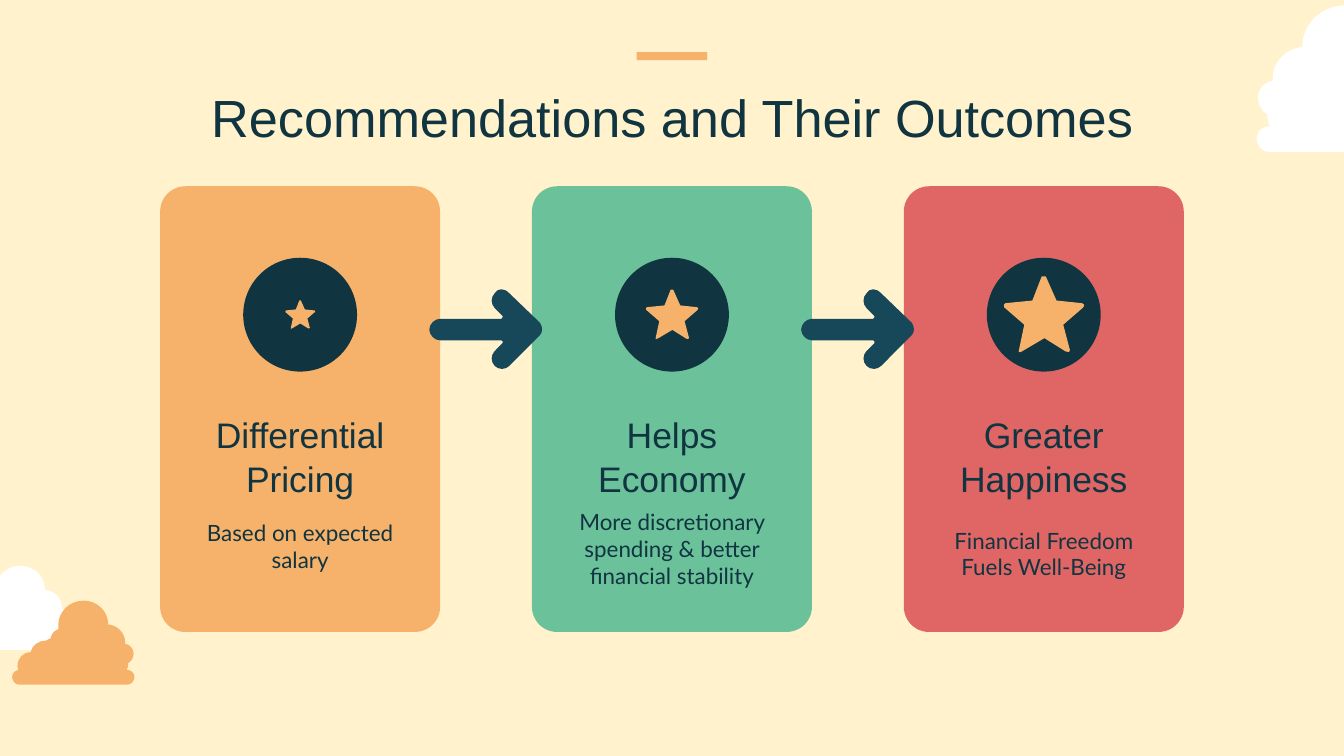
from dataclasses import dataclass
from lxml import etree
from pptx import Presentation
from pptx import util as u
from pptx.dml.color import RGBColor
from pptx.enum import shapes, text
from pptx.oxml import ns


@dataclass(frozen=True)
class Theme:
    cream: str = "FFF2CC"
    white: str = "FFFFFF"
    orange: str = "F6B26B"
    green: str = "6BC29A"
    red: str = "E06666"
    navy: str = "103440"
    teal: str = "174859"
    heading_font: str = "Arial"
    body_font: str = "Lato"
    title_size: float = 28
    card_size: float = 19
    body_size: float = 12


theme = Theme()
TITLE = "Recommendations and Their Outcomes"
CARDS = [
    {"heading": "Differential Pricing", "detail": "Based on expected salary",
     "color": theme.orange, "star": 16.4, "detail_top": 270.7},
    {"heading": "Helps Economy", "detail": "More discretionary spending & better financial stability",
     "color": theme.green, "star": 28.6, "detail_top": 265},
    {"heading": "Greater Happiness", "detail": "Financial Freedom Fuels Well-Being",
     "color": theme.red, "star": 43.9, "detail_top": 275},
]
CLOUDS = [
    ((-27.4, 303.1, 65.5, 45), theme.white, True),
    ((673.2, 2.9, 114.5, 78.5), theme.white, False),
    ((6.5, 321.8, 65.5, 45), theme.orange, True),
]

CLOUD = (159, 109, [
    (66, 0), (84, 0, 99, 14, 99, 32), (99, 37), (104, 39, 108, 43, 109, 49),
    (115, 52), (125, 52, 133, 58, 135, 67), (145, 67, 152, 75, 152, 85),
    (151, 90), (156, 91, 159, 95, 159, 99), (159, 104, 155, 109, 150, 109),
    (9, 109), (4, 109, 0, 104, 0, 99), (0, 94, 4, 90, 9, 90), (10, 90),
    (8, 87, 8, 84, 8, 81), (4, 79, 1, 74, 1, 69), (1, 62, 6, 57, 12, 56),
    (12, 54), (12, 42, 22, 32, 34, 31), (34, 13, 49, 0, 66, 0)])
STAR = (61, 57, [
    (32, 0), (31, 0, 30, 0, 29, 0), (22, 18), (2, 20), (1, 20, 0, 22, 1, 23),
    (16, 36), (12, 55), (11, 56, 12, 57, 14, 56), (31, 46), (47, 56),
    (49, 57, 50, 56, 50, 55), (45, 36), (60, 23), (61, 22, 61, 20, 59, 20),
    (40, 18)])
ARROW = (85, 59, [
    (54, 0), (52, 0, 50, 1, 49, 3), (46, 6, 46, 11, 49, 14), (55, 20),
    (55, 20, 55, 22, 54, 22), (8, 22), (4, 22, 0, 26, 0, 30),
    (0, 34, 4, 38, 8, 38), (54, 38), (55, 38, 55, 39, 55, 40), (49, 46),
    (46, 49, 46, 54, 49, 57), (52, 60, 57, 60, 60, 57),
    (83, 34), (85, 32, 85, 28, 83, 25), (60, 3), (58, 1, 56, 0, 54, 0)])


def paint(shape, color):
    shape.shadow.inherit = False
    shape.fill.solid()
    shape.fill.fore_color.rgb = RGBColor.from_string(color)
    shape.line.fill.background()
    return shape


def add_preset(slide, kind, box, color):
    return paint(slide.shapes.add_shape(kind, *map(u.Pt, box)), color)


def add_outline(slide, outline, box, color, mirrored=False):
    across, down, steps = outline
    left, top, width, height = box

    def place(x, y):
        fraction = (across - x if mirrored else x) / across
        return u.Pt(left + width * fraction), u.Pt(top + height * y / down)

    ends = [place(*step[-2:]) for step in steps]
    builder = slide.shapes.build_freeform(*ends[0])
    builder.add_line_segments(ends[1:], close=True)
    shape = paint(builder.convert_to_shape(), color)
    origin_x, origin_y = min(x for x, y in ends), min(y for x, y in ends)
    segments = list(shape.element.iter(ns.qn("a:lnTo")))
    for segment, step in zip(segments, steps[1:]):
        if len(step) == 6:
            curve = etree.Element(ns.qn("a:cubicBezTo"))
            for n in (0, 2, 4):
                x, y = place(*step[n:n + 2])
                etree.SubElement(curve, ns.qn("a:pt"), x=str(x - origin_x), y=str(y - origin_y))
            segment.getparent().replace(segment, curve)


def write(shape, box, words, font, size, lead=0, spacing=1):
    shape.left, shape.top, shape.width, shape.height = map(u.Pt, box)
    frame = shape.text_frame
    frame.word_wrap = True
    frame.auto_size = text.MSO_AUTO_SIZE.NONE
    frame.vertical_anchor = text.MSO_ANCHOR.TOP
    frame.margin_left = frame.margin_right = frame.margin_bottom = u.Pt(7.2)
    frame.margin_top = u.Pt(7.2 + lead)
    paragraph = frame.paragraphs[0]
    paragraph.alignment = text.PP_ALIGN.CENTER
    paragraph.line_spacing = spacing
    run = paragraph.add_run()
    run.text = words
    run.font.name = font
    run.font.size = u.Pt(size)
    run.font.color.rgb = RGBColor.from_string(theme.navy)


def add_words(slide, box, *style):
    write(slide.shapes.add_textbox(*map(u.Pt, box)), box, *style)


def main():
    deck = Presentation()
    deck.slide_width, deck.slide_height = u.Pt(720), u.Pt(405)
    slide = deck.slides.add_slide(deck.slide_layouts[5])
    slide.background.fill.solid()
    slide.background.fill.fore_color.rgb = RGBColor.from_string(theme.cream)

    for box, color, mirrored in CLOUDS:
        add_outline(slide, CLOUD, box, color, mirrored)
    write(slide.shapes.title, (24.5, 36, 671, 45.4), TITLE,
          theme.heading_font, theme.title_size, 2.3)
    add_preset(slide, shapes.MSO_SHAPE.RECTANGLE, (341.1, 27.9, 37.8, 4.3), theme.orange)

    pitch, card_width, badge, badge_middle = 199.2, 150, 61, 168.6
    centers = [360 + (i - 1) * pitch for i in range(len(CARDS))]
    for center, card in zip(centers, CARDS):
        panel = add_preset(slide, shapes.MSO_SHAPE.ROUNDED_RECTANGLE,
                           (center - card_width / 2, 99.8, card_width, 238.8), card["color"])
        panel.adjustments[0] = 0.09
        add_words(slide, (center - 68, 211.7, 136, 41), card["heading"],
                  theme.heading_font, theme.card_size, 1.5, 1.04)
        add_words(slide, (center - 66, card["detail_top"], 132, 56.2), card["detail"],
                  theme.body_font, theme.body_size)
        add_preset(slide, shapes.MSO_SHAPE.OVAL,
                   (center - badge / 2, badge_middle - badge / 2, badge, badge), theme.navy)
        star = card["star"]
        tall = star * STAR[1] / STAR[0]
        add_outline(slide, STAR, (center - star / 2, badge_middle - tall / 2, star, tall),
                    theme.orange)

    arrow_width, arrow_height = 60.8, 42.5
    for center in centers[:-1]:
        add_outline(slide, ARROW, (center + (pitch - arrow_width) / 2, 155,
                                   arrow_width, arrow_height), theme.teal)
    deck.save("out.pptx")


if __name__ == "__main__":
    main()
